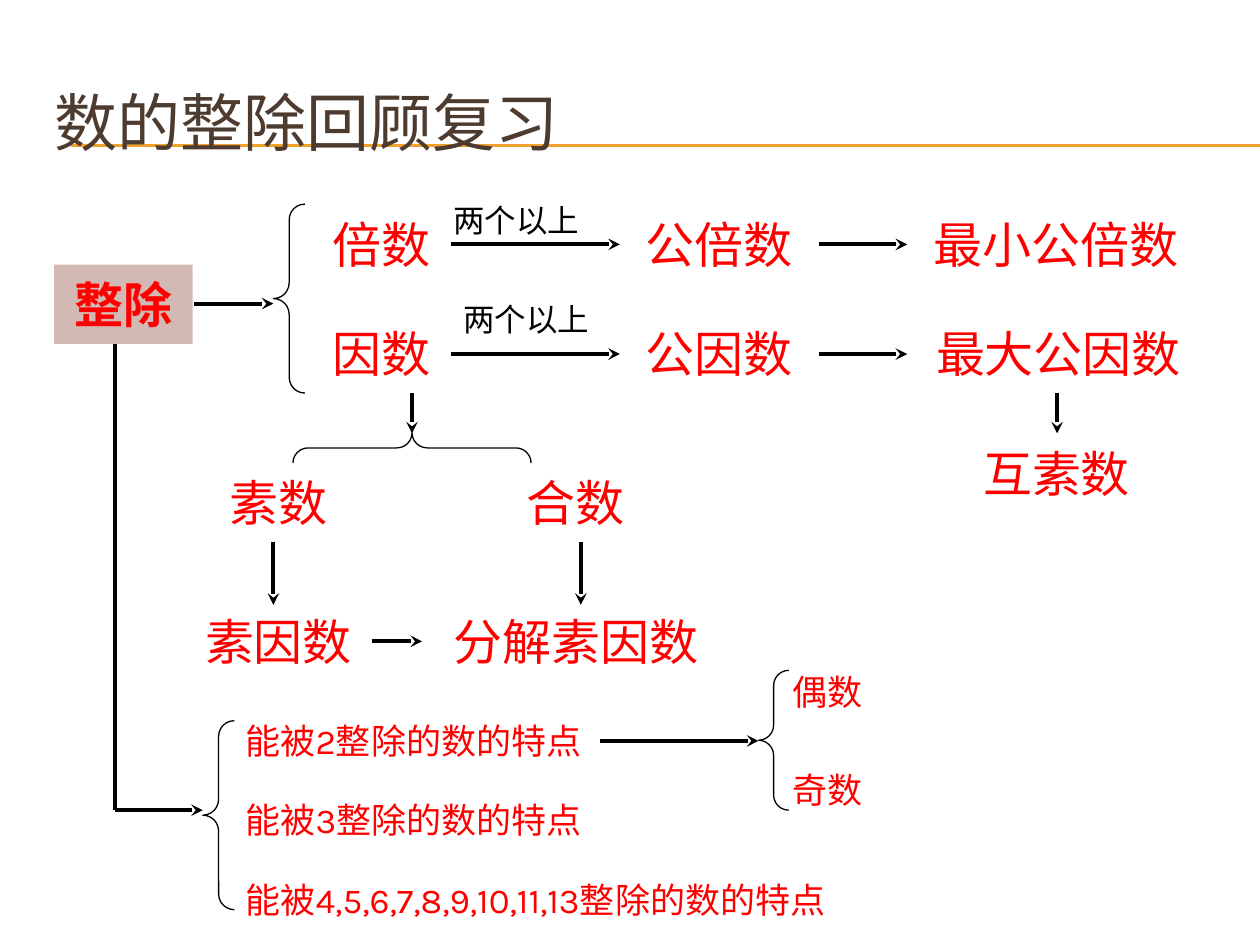
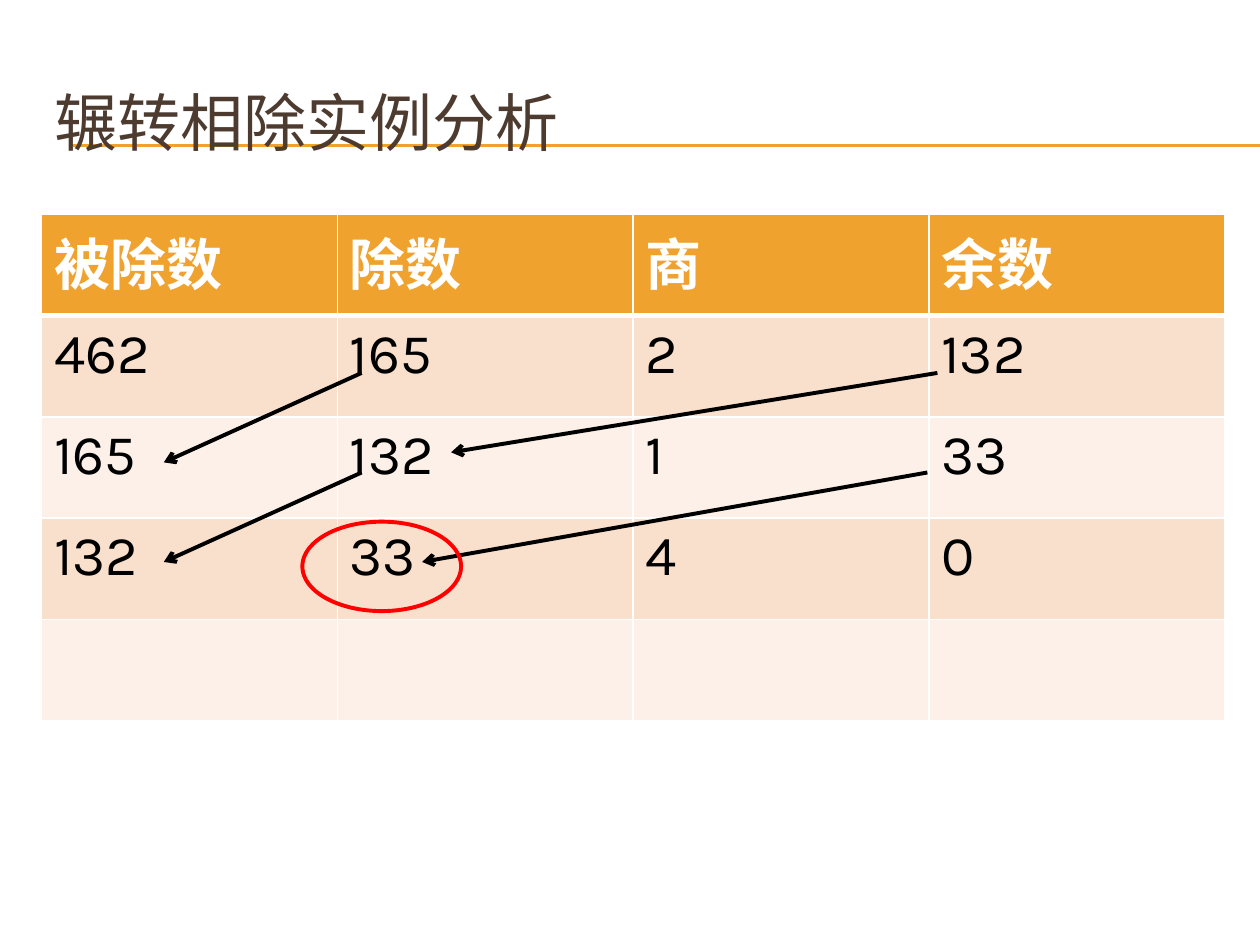
from dataclasses import dataclass
from typing import Any

from lxml import etree
from pptx import Presentation
from pptx.dml.color import RGBColor
from pptx.enum.shapes import MSO_CONNECTOR as Connector, MSO_SHAPE as Shape
from pptx.enum.text import MSO_ANCHOR as Anchor, PP_ALIGN as Align
from pptx.oxml.ns import qn
from pptx.util import Inches, Pt

# Shared look
BROWN = RGBColor(0x4E, 0x3B, 0x30)
ORANGE = RGBColor(0xF0, 0xA2, 0x2E)
ROSE = RGBColor(0xD3, 0xB9, 0xB3)
PEACH = RGBColor(0xF9, 0xE0, 0xCD)
CREAM = RGBColor(0xFC, 0xF0, 0xE8)
RED = RGBColor(0xFF, 0x00, 0x00)
BLACK = RGBColor(0x00, 0x00, 0x00)
WHITE = RGBColor(0xFF, 0xFF, 0xFF)

FONT = "Karla"
TITLE = {"size": Pt(36), "color": BROWN, "bold": False}
ROOT = {"size": Pt(28), "color": RED, "bold": True}
CONCEPT = {"size": Pt(28), "color": RED, "bold": False}
FEATURE = {"size": Pt(20), "color": RED, "bold": False}
NOTE = {"size": Pt(18), "color": BLACK, "bold": False}
HEADING = {"size": Pt(32), "color": WHITE, "bold": True}
NUMBER = {"size": Pt(32), "color": BLACK, "bold": False}
HEAVY, THIN = 2.25, 0.75
ROW_H = 0.63


@dataclass
class Label:
    text: str
    left: float
    top: float
    width: float
    style: dict[str, Any]
    align: Any = Align.CENTER
    anchor: Any = Anchor.MIDDLE
    height: float = ROW_H


@dataclass
class Arrow:
    x1: float
    y1: float
    x2: float
    y2: float
    head: str | None = "stealth"


@dataclass
class Brace:
    left: float
    top: float
    width: float
    height: float
    rotation: int = 0


def write(frame: Any, text: str, style: dict[str, Any], align: Any = Align.LEFT) -> None:
    paragraph = frame.paragraphs[0]
    paragraph.alignment = align
    run = paragraph.add_run()
    run.text = text
    run.font.name = FONT
    for name, value in style.items():
        if name == "color":
            run.font.color.rgb = value
        else:
            setattr(run.font, name, value)


def draw_label(slide: Any, label: Label) -> Any:
    box = slide.shapes.add_textbox(Inches(label.left), Inches(label.top),
                                   Inches(label.width), Inches(label.height))
    box.text_frame.word_wrap = True
    box.text_frame.vertical_anchor = label.anchor
    write(box.text_frame, label.text, label.style, label.align)
    return box


def draw_line(slide: Any, arrow: Arrow, color: RGBColor = BLACK, weight: float = HEAVY) -> Any:
    line = slide.shapes.add_connector(Connector.STRAIGHT, Inches(arrow.x1), Inches(arrow.y1),
                                      Inches(arrow.x2), Inches(arrow.y2))
    line.line.color.rgb = color
    line.line.width = Pt(weight)
    if arrow.head:
        etree.SubElement(line.line._get_or_add_ln(), qn("a:tailEnd"), type=arrow.head)
    etree.SubElement(line.element.spPr, qn("a:effectLst"))
    return line


def draw_outline(slide: Any, kind: Any, frame: Brace, color: RGBColor, weight: float) -> Any:
    outline = slide.shapes.add_shape(kind, Inches(frame.left), Inches(frame.top),
                                     Inches(frame.width), Inches(frame.height))
    outline.shadow.inherit = False
    outline.fill.background()
    outline.line.color.rgb = color
    outline.line.width = Pt(weight)
    outline.rotation = frame.rotation
    return outline


def draw_brace(slide: Any, brace: Brace) -> None:
    outline = draw_outline(slide, Shape.LEFT_BRACE, brace, BLACK, THIN)
    outline.adjustments[0] = outline.adjustments[1] = 0.5


def add_titled_slide(deck: Any, text: str) -> Any:
    slide = deck.slides.add_slide(deck.slide_layouts[5])
    title = slide.shapes.title
    title.left, title.top = Inches(0.33), Inches(0.5)
    title.width, title.height = Inches(9.5), Inches(0.92)
    title.text_frame.vertical_anchor = Anchor.MIDDLE
    write(title.text_frame, text, TITLE)
    # Double rule behind the title
    for y in (1.15, 1.16):
        rule = draw_line(slide, Arrow(0.56, y, 10, y, None), ORANGE, THIN)
        title.element.addprevious(rule.element)
    return slide


def set_borders(cell: Any, top: float, bottom: float) -> None:
    properties = cell._tc.get_or_add_tcPr()
    edges = {"a:lnL": 1, "a:lnR": 1, "a:lnT": top, "a:lnB": bottom}
    for position, (tag, weight) in enumerate(edges.items()):
        edge = etree.Element(qn(tag), w=str(Pt(weight)))
        fill = etree.SubElement(edge, qn("a:solidFill"))
        etree.SubElement(fill, qn("a:srgbClr"), val=str(WHITE))
        properties.insert(position, edge)


def build_review(deck: Any) -> None:
    slide = add_titled_slide(deck, "数的整除回顾复习")

    # Root of the concept map
    root = draw_label(slide, Label("整除", 0.43, 2.1, 1.1, ROOT))
    root.fill.solid()
    root.fill.fore_color.rgb = ROSE

    # Multiples row and factors row
    chains = [(1.62, ("倍数", "公倍数", "最小公倍数"), 2.36),
              (2.49, ("因数", "公因数", "最大公因数"), 2.4)]
    for top, names, last_width in chains:
        for name, left, width in zip(names, (2.48, 4.92, 7.2), (1.1, 1.57, last_width)):
            draw_label(slide, Label(name, left, top, width, CONCEPT))
        for start, end in ((3.58, 4.92), (6.5, 7.2)):
            draw_line(slide, Arrow(start, top + 0.32, end, top + 0.32))

    # Lower concepts, divisibility features and notes
    labels = [
        Label("互素数", 7.6, 3.44, 1.57, CONCEPT),
        Label("素数", 1.54, 3.67, 1.34, CONCEPT),
        Label("合数", 3.82, 3.67, 1.5, CONCEPT),
        Label("素因数", 1.46, 4.77, 1.5, CONCEPT),
        Label("分解素因数", 3.35, 4.77, 2.44, CONCEPT),
        Label("偶数", 6.02, 5.17, 1.1, FEATURE),
        Label("奇数", 6.02, 5.95, 1.1, FEATURE),
        Label("两个以上", 3.5, 1.55, 1.42, NOTE, Align.LEFT, Anchor.TOP, 0.4),
        Label("两个以上", 3.58, 2.33, 1.42, NOTE, Align.LEFT, Anchor.TOP, 0.4),
    ]
    divisors = [("2", 4.41), ("3", 4.25), ("4,5,6,7,8,9,10,11,13", 5.91)]
    for row, (divisor, width) in enumerate(divisors):
        labels.append(Label(f"能被{divisor}整除的数的特点", 1.85, 5.56 + row * ROW_H,
                            width, FEATURE, Align.LEFT))
    for label in labels:
        draw_label(slide, label)

    # Links between the concepts
    for arrow in (
        Arrow(1.54, 2.41, 2.17, 2.41),
        Arrow(3.27, 3.12, 3.27, 3.44),
        Arrow(8.39, 3.12, 8.39, 3.44),
        Arrow(2.17, 4.3, 2.17, 4.8),
        Arrow(4.61, 4.3, 4.61, 4.8),
        Arrow(2.95, 5.09, 3.35, 5.09),
        Arrow(0.91, 2.73, 0.91, 6.43, None),
        Arrow(0.91, 6.43, 1.61, 6.43),
        Arrow(4.76, 5.88, 6.02, 5.88),
    ):
        draw_line(slide, arrow)

    for brace in (
        Brace(2.17, 1.62, 0.25, 1.5),
        Brace(3.15, 2.61, 0.24, 1.89, 90),
        Brace(1.61, 5.72, 0.25, 1.5),
        Brace(6.02, 5.32, 0.24, 1.11),
    ):
        draw_brace(slide, brace)


def build_example(deck: Any) -> None:
    slide = add_titled_slide(deck, "辗转相除实例分析")

    # Division steps, with one row left open
    steps = [("被除数", "除数", "商", "余数"),
             ("462", "165", "2", "132"),
             ("165", "132", "1", "33"),
             ("132", "33", "4", "0"),
             ("", "", "", "")]
    table = slide.shapes.add_table(len(steps), len(steps[0]), Inches(0.33), Inches(1.7),
                                   Inches(9.39), Inches(4.02)).table
    for r, step in enumerate(steps):
        for c, value in enumerate(step):
            cell = table.cell(r, c)
            cell.fill.solid()
            cell.fill.fore_color.rgb = ORANGE if r == 0 else PEACH if r % 2 else CREAM
            set_borders(cell, top=3 if r == 1 else 1, bottom=3 if r == 0 else 1)
            if value:
                write(cell.text_frame, value, NUMBER if r else HEADING)

    # Divisor and remainder move one column left in the next step
    for arrow in (
        Arrow(2.87, 2.96, 1.3, 3.67, "arrow"),
        Arrow(2.87, 3.75, 1.3, 4.46, "arrow"),
        Arrow(7.44, 2.96, 3.58, 3.59, "arrow"),
        Arrow(7.36, 3.75, 3.35, 4.46, "arrow"),
    ):
        draw_line(slide, arrow)

    # Ring around the greatest common divisor
    draw_outline(slide, Shape.OVAL, Brace(2.4, 4.14, 1.26, 0.71), RED, HEAVY)


deck = Presentation()
deck.slide_width, deck.slide_height = Inches(10), Inches(7.5)
build_review(deck)
build_example(deck)
deck.save("out.pptx")
